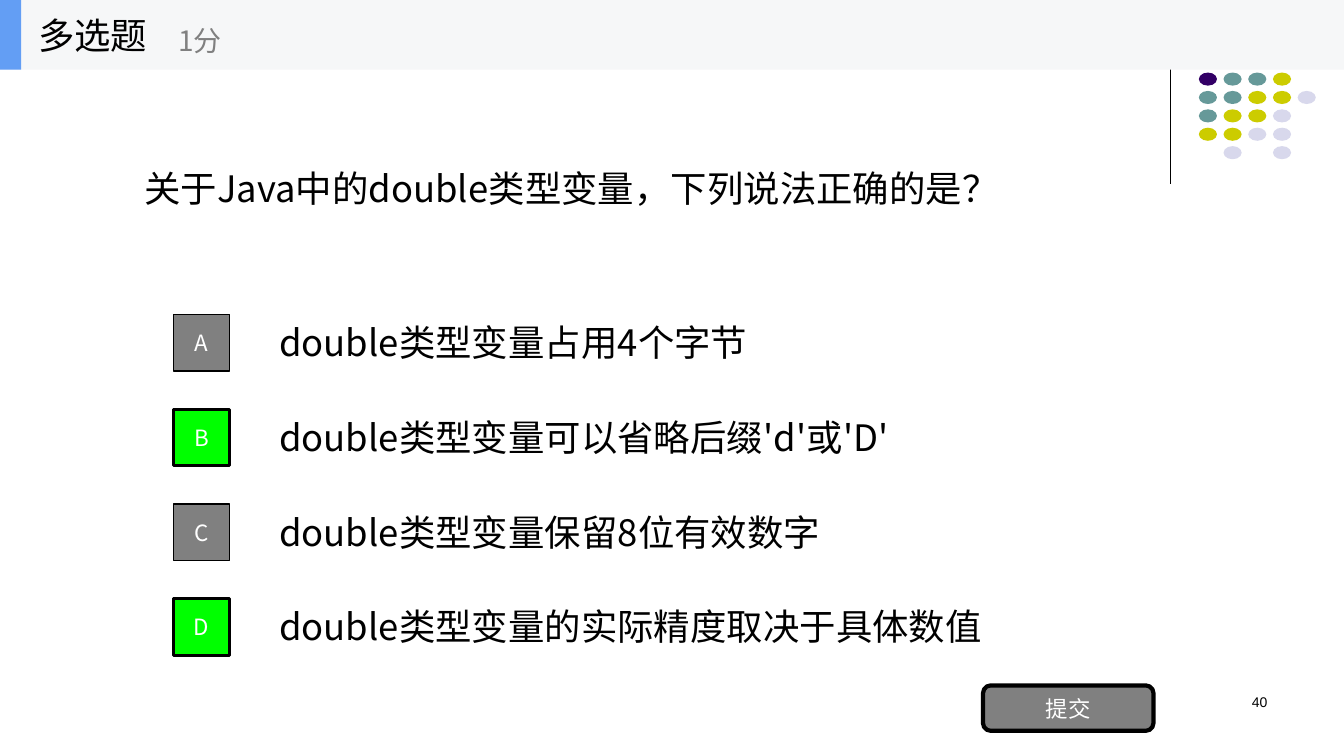
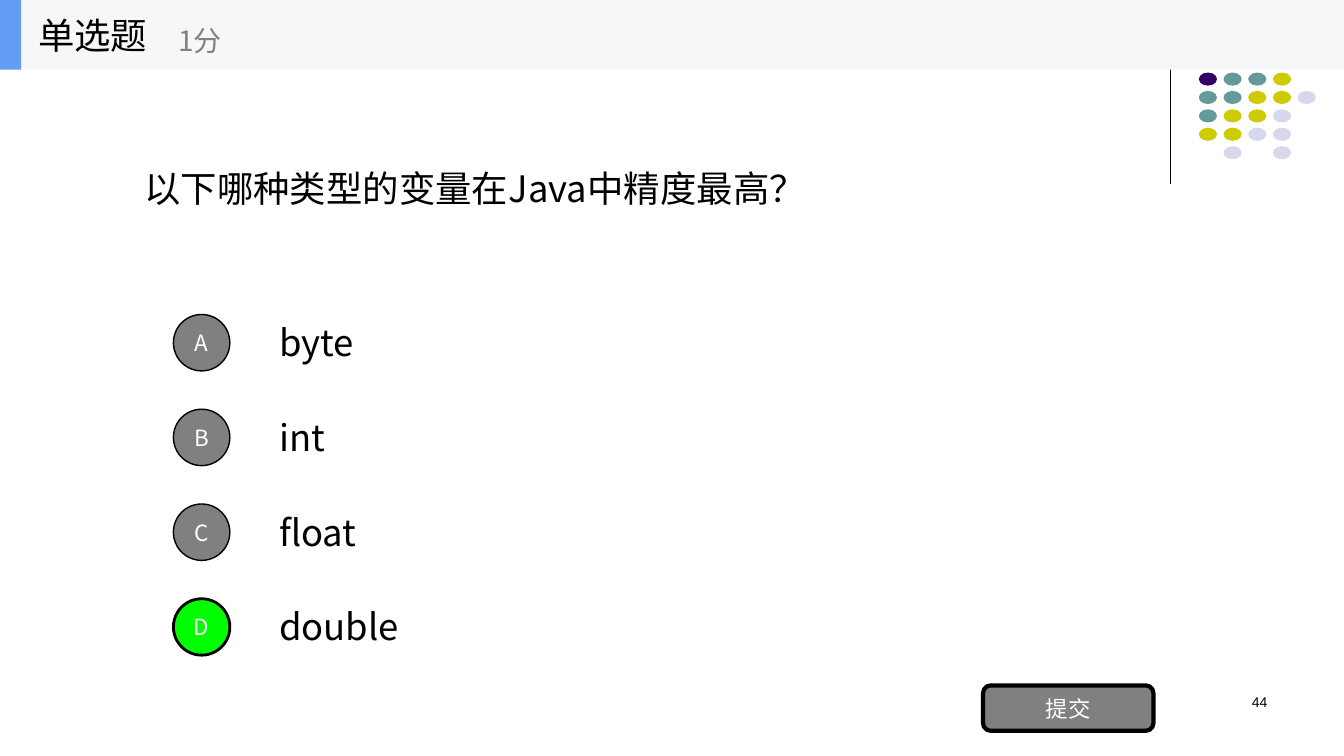
"""Build two quiz slides about Java number types."""
from lxml import etree
from pptx import Presentation
from pptx.dml.color import RGBColor
from pptx.enum import shapes, text
from pptx.oxml.ns import qn
from pptx.util import Inches, Pt

BLACK = RGBColor(0x00, 0x00, 0x00)
WHITE = RGBColor(0xFF, 0xFF, 0xFF)
GREY = RGBColor(0x80, 0x80, 0x80)
GREEN = RGBColor(0x00, 0xFF, 0x00)
BAND = RGBColor(0xF6, 0xF7, 0xF8)
BLUE = RGBColor(0x63, 0x9E, 0xF4)
DOT_COLOURS = {
    "P": RGBColor(0x33, 0x00, 0x66),
    "T": RGBColor(0x66, 0x99, 0x99),
    "Y": RGBColor(0xCC, 0xCC, 0x00),
    "L": RGBColor(0xD8, 0xD8, 0xEC),
}
DOT_ROWS = ["PTTY", "TTYYL", "TYYL", "YYLL", " L L"]
FONT = "Noto Sans CJK SC"
SHAPE = shapes.MSO_SHAPE
LEFT, CENTER, RIGHT = text.PP_ALIGN.LEFT, text.PP_ALIGN.CENTER, text.PP_ALIGN.RIGHT
MIDDLE, TOP = text.MSO_ANCHOR.MIDDLE, text.MSO_ANCHOR.TOP

QUESTIONS = [
    {
        "category": "多选题", "number": "40", "badge": SHAPE.RECTANGLE, "correct": "BD",
        "question": "关于Java中的double类型变量，下列说法正确的是？", "width": 8.74,
        "options": [
            ("double类型变量占用4个字节", 4.98),
            ("double类型变量可以省略后缀'd'或'D'", 6.37),
            ("double类型变量保留8位有效数字", 5.71),
            ("double类型变量的实际精度取决于具体数值", 7.3),
        ],
    },
    {
        "category": "单选题", "number": "44", "badge": SHAPE.OVAL, "correct": "D",
        "question": "以下哪种类型的变量在Java中精度最高？", "width": 6.8,
        "options": [("byte", 1.07), ("int", 0.76), ("float", 1.09), ("double", 1.52)],
    },
]


def add_block(slide, kind, left, top, width, height, fill, line_width=0):
    """Add a flat preset shape, outlined in black if a line width is given."""
    block = slide.shapes.add_shape(kind, Inches(left), Inches(top), Inches(width), Inches(height))
    block.shadow.inherit = False
    block.fill.solid()
    block.fill.fore_color.rgb = fill
    if line_width:
        block.line.color.rgb = BLACK
        block.line.width = Pt(line_width)
    else:
        block.line.fill.background()
    return block


def write(holder, words, size, colour=BLACK, align=LEFT, anchor=MIDDLE, font=FONT):
    """Fill a shape with one styled paragraph."""
    frame = holder.text_frame
    frame.text = words
    frame.word_wrap = True
    frame.auto_size = text.MSO_AUTO_SIZE.NONE
    frame.vertical_anchor = anchor
    paragraph = frame.paragraphs[0]
    paragraph.alignment = align
    paragraph.font.size = Pt(size)
    paragraph.font.color.rgb = colour
    paragraph.font.name = font
    for properties in holder.element.iter(qn("a:defRPr")):
        etree.SubElement(properties, qn("a:ea"), typeface=font)


prs = Presentation()
prs.slide_width, prs.slide_height = Inches(13.33), Inches(7.5)
layout = prs.slide_layouts[5]
for footer in list(layout.placeholders)[1:]:
    footer.element.getparent().remove(footer.element)
slides = [prs.slides.add_slide(layout) for _ in QUESTIONS]

first = slides[0]
divider = first.shapes.add_connector(
    shapes.MSO_CONNECTOR.STRAIGHT, Inches(11.61), Inches(0.17), Inches(11.61), Inches(1.83))
divider.line.color.rgb = BLACK
divider.line.width = Pt(0.75)
etree.SubElement(divider.element.spPr, qn("a:effectLst"))
for row, dots in enumerate(DOT_ROWS):
    for column, dot in enumerate(dots):
        if dot in DOT_COLOURS:
            add_block(first, SHAPE.OVAL, 11.89 + column * 0.98 / 4, 0.72 + row * 0.73 / 4,
                      0.18, 0.13, DOT_COLOURS[dot])
add_block(first, SHAPE.RECTANGLE, 0, 0, 13.33, 0.69, BAND)
add_block(first, SHAPE.RECTANGLE, 0, 0, 0.21, 0.69, BLUE)
for decoration in list(first.shapes)[1:]:
    layout.element.cSld.spTree.append(decoration.element)

for slide, quiz in zip(slides, QUESTIONS):
    question = slide.shapes.title
    question.left, question.top = Inches(1.33), Inches(1.6)
    question.width, question.height = Inches(quiz["width"]), Inches(0.53)
    write(question, quiz["question"], 26)

    for index, (answer, width) in enumerate(quiz["options"]):
        letter = "ABCD"[index]
        correct = letter in quiz["correct"]
        top = 3.12 + 0.94 * index
        label = slide.shapes.add_textbox(Inches(2.67), Inches(top + 0.01), Inches(width), Inches(0.53))
        write(label, answer, 26)
        badge = add_block(slide, quiz["badge"], 1.72, top, 0.56, 0.56,
                          GREEN if correct else GREY, 2 if correct else 1)
        badge.text_frame.margin_left = badge.text_frame.margin_right = 0
        write(badge, letter, 16, WHITE, CENTER)

    submit = add_block(slide, SHAPE.ROUNDED_RECTANGLE, 9.75, 6.8, 1.69, 0.45, GREY, 3)
    write(submit, "提交", 16, WHITE, CENTER)

    category = slide.shapes.add_textbox(0, 0, Inches(2.08), Inches(0.69))
    category.left = Inches(0.28)
    write(category, quiz["category"], 26)
    score = slide.shapes.add_textbox(Inches(1.67), Inches(0.12), Inches(2.5), Inches(0.56))
    write(score, "1分", 20, GREY)
    number = slide.shapes.add_textbox(Inches(9.56), Inches(6.83), Inches(3.11), Inches(0.5))
    write(number, quiz["number"], 10, align=RIGHT, anchor=TOP, font="Arial")

prs.save("out.pptx")
